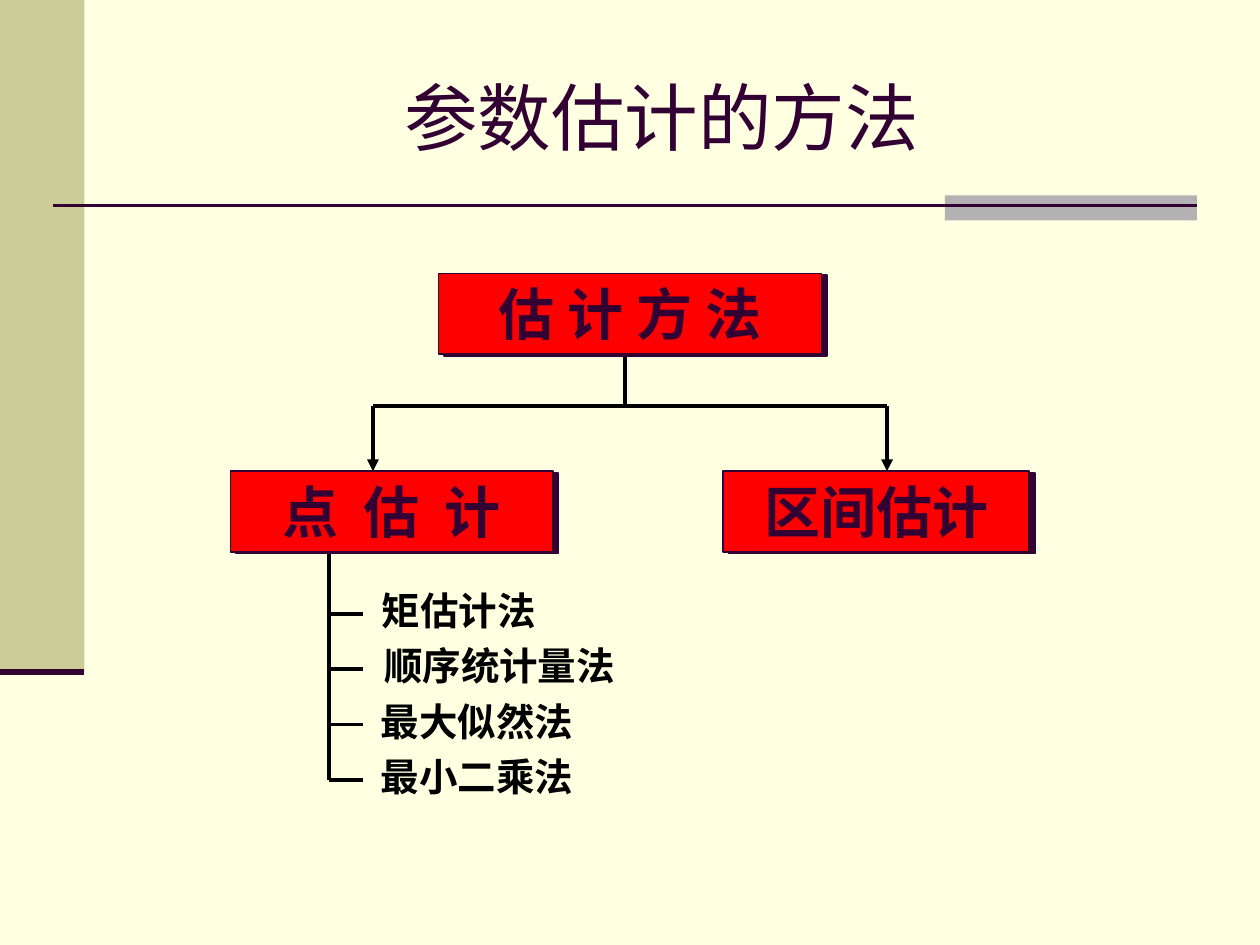
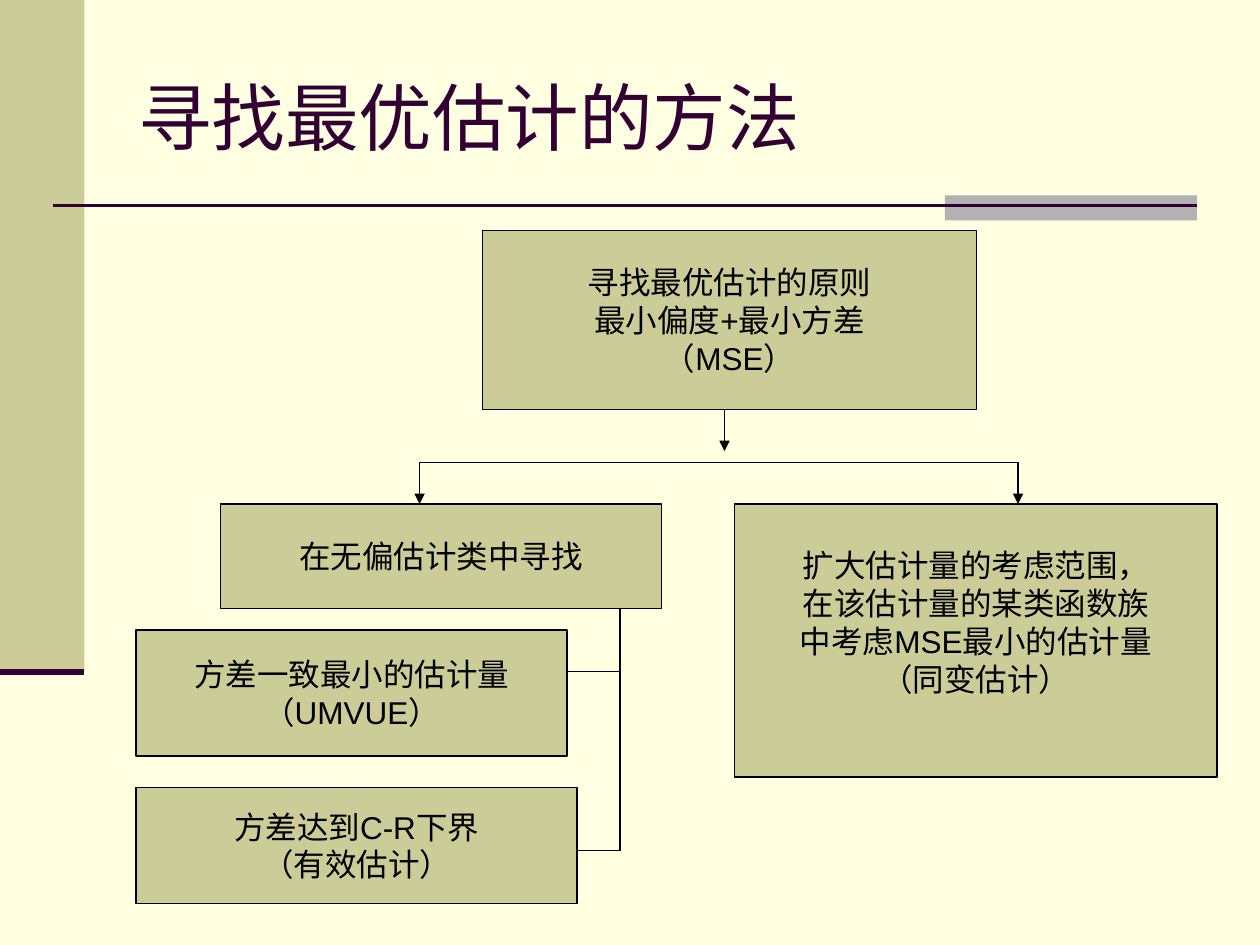
from lxml import etree
from pptx import Presentation
from pptx.dml.color import RGBColor
from pptx.enum.shapes import MSO_CONNECTOR, MSO_SHAPE
from pptx.enum.text import MSO_ANCHOR, PP_ALIGN
from pptx.oxml.ns import qn
from pptx.util import Inches, Pt

CREAM = RGBColor(0xFF, 0xFF, 0xE1)
KHAKI = RGBColor(0xCC, 0xCC, 0x99)
GRAY = RGBColor(0xB2, 0xB2, 0xB2)
PLUM = RGBColor(0x33, 0x00, 0x33)
RED = RGBColor(0xFF, 0x00, 0x00)
BLACK = RGBColor(0x00, 0x00, 0x00)

RECTANGLE = MSO_SHAPE.RECTANGLE
STRAIGHT = MSO_CONNECTOR.STRAIGHT
TOP, MIDDLE = MSO_ANCHOR.TOP, MSO_ANCHOR.MIDDLE
LEFT, CENTER = PP_ALIGN.LEFT, PP_ALIGN.CENTER

CJK_FONT = "Noto Sans CJK SC"
TITLE_FONT = {"name": "Times New Roman", "size": Pt(42)}
METHOD_FONT = {"name": CJK_FONT, "size": Pt(32), "bold": True}
BRANCH_FONT = {"name": "Arial", "size": Pt(22), "bold": True}
STEP_FONT = {"name": "Arial", "size": Pt(18)}


class Deck:
    """Holds the shared style and the slide being drawn."""

    def __init__(self):
        self.presentation = Presentation()
        self.presentation.slide_width = Inches(10)
        self.presentation.slide_height = Inches(7.5)
        self.slide = None

    def start_slide(self, title, align):
        self.slide = self.presentation.slides.add_slide(self.presentation.slide_layouts[6])
        background = self.slide.background.fill
        background.solid()
        background.fore_color.rgb = CREAM
        self.rectangle((0, 0, 0.67, 5.33), KHAKI)
        self.rectangle((7.5, 1.55, 2, 0.2), GRAY)
        self.line((0.42, 1.63), (9.5, 1.63), 1.5, PLUM)
        self.line((0, 5.33), (0.67, 5.33), 3.5, PLUM)
        self.label((1, 0.3, 8.5, 1.25), title, TITLE_FONT, PLUM, align, MIDDLE)

    def rectangle(self, place, fill, outline=None):
        shape = self.slide.shapes.add_shape(RECTANGLE, *map(Inches, place))
        shape.shadow.inherit = False
        shape.fill.solid()
        shape.fill.fore_color.rgb = fill
        if outline is None:
            shape.line.fill.background()
        else:
            shape.line.color.rgb = outline
            shape.line.width = Pt(1)
        return shape

    def line(self, start, end, width, color=BLACK, arrow=False):
        connector = self.slide.shapes.add_connector(STRAIGHT, *map(Inches, start + end))
        connector.line.color.rgb = color
        connector.line.width = Pt(width)
        properties = connector._element.spPr
        if arrow:
            etree.SubElement(properties.find(qn("a:ln")), qn("a:tailEnd"), type="triangle")
        etree.SubElement(properties, qn("a:effectLst"))

    def set_text(self, shape, text, font, color, align=CENTER, anchor=MIDDLE, wrap=True,
                 bottom=0.05, spacing=0):
        frame = shape.text_frame
        layout = {"word_wrap": wrap, "vertical_anchor": anchor,
                  "margin_left": Inches(0.1), "margin_right": Inches(0.1),
                  "margin_top": Inches(0.05), "margin_bottom": Inches(bottom)}
        for name, value in layout.items():
            setattr(frame, name, value)
        for index, words in enumerate(text.split("\n")):
            paragraph = frame.add_paragraph() if index else frame.paragraphs[0]
            paragraph.alignment = align
            run = paragraph.add_run()
            run.text = words
            for name, value in font.items():
                setattr(run.font, name, value)
            run.font.color.rgb = color
            properties = run._r.get_or_add_rPr()
            etree.SubElement(properties, qn("a:ea"), typeface=CJK_FONT)
            if spacing:
                properties.set("spc", str(spacing))

    def label(self, place, text, font, color, align=CENTER, anchor=TOP):
        box = self.slide.shapes.add_textbox(*map(Inches, place))
        self.set_text(box, text, font, color, align, anchor)

    def method_box(self, place, text, spacing=0):
        box = self.rectangle(place, RED, PLUM)
        effects = box._element.spPr.find(qn("a:effectLst"))
        shadow = etree.SubElement(effects, qn("a:outerShdw"), dist=str(Pt(3.2)),
                                  dir=str(18 * 60000), algn="ctr", rotWithShape="0")
        etree.SubElement(shadow, qn("a:srgbClr"), val=str(PLUM))
        self.set_text(box, text, METHOD_FONT, PLUM, anchor=TOP, spacing=spacing)

    def step_box(self, place, text, bottom=0.05):
        box = self.rectangle(place, KHAKI, BLACK)
        self.set_text(box, text, STEP_FONT, BLACK, wrap=False, bottom=bottom)

    def fork(self, left, right, top, bottom, width):
        self.line((left, top), (right, top), width)
        for x in (left, right):
            self.line((x, top), (x, bottom), width, arrow=True)


def estimation_methods(deck):
    deck.start_slide("参数估计的方法", CENTER)
    deck.line((4.96, 2.78), (4.96, 3.22), 2.25)
    trunk, first_row, row_gap = 2.61, 4.87, 0.44
    deck.line((trunk, 4.35), (trunk, first_row + 3 * row_gap), 2.25)
    branches = [("矩估计法", 2.79, 1.7), ("顺序统计量法", 2.71, 2.51),
                ("最大似然法", 2.71, 2.15), ("最小二乘法", 2.71, 2.15)]
    for index, (method, left, width) in enumerate(branches):
        row = first_row + index * row_gap
        deck.line((trunk, row), (2.88, row), 2.25)
        deck.label((left, row - 0.26, width, 0.47), method, BRANCH_FONT, BLACK)
    deck.method_box((3.48, 2.17, 3.04, 0.64), "估 计 方 法")
    deck.method_box((1.83, 3.74, 2.56, 0.64), "点 估 计", spacing=360)
    deck.method_box((5.74, 3.74, 2.43, 0.64), "区间估计")
    deck.fork(2.96, 7.04, 3.22, 3.74, 2.25)


def optimal_estimation(deck):
    deck.start_slide("寻找最优估计的方法", LEFT)
    deck.step_box((3.83, 1.83, 3.92, 1.42), "寻找最优估计的原则\n最小偏度+最小方差\n（MSE）")
    deck.line((5.75, 3.25), (5.75, 3.58), 1, arrow=True)
    deck.fork(3.33, 8.08, 3.67, 4, 1)
    deck.step_box((1.75, 4, 3.5, 0.83), "在无偏估计类中寻找")
    deck.step_box((5.83, 4, 3.83, 2.17),
                  "扩大估计量的考虑范围，\n在该估计量的某类函数族\n"
                  "中考虑MSE最小的估计量\n（同变估计）", bottom=0.35)
    trunk = 4.92
    deck.line((trunk, 4.83), (trunk, 6.75), 1)
    for row in (5.33, 6.75):
        deck.line((4.42, row), (trunk, row), 1)
    deck.step_box((1.08, 5, 3.42, 1), "方差一致最小的估计量\n（UMVUE）")
    deck.step_box((1.08, 6.25, 3.5, 0.92), "方差达到C-R下界\n（有效估计）")


def main():
    deck = Deck()
    estimation_methods(deck)
    optimal_estimation(deck)
    deck.presentation.save("out.pptx")


if __name__ == "__main__":
    main()
